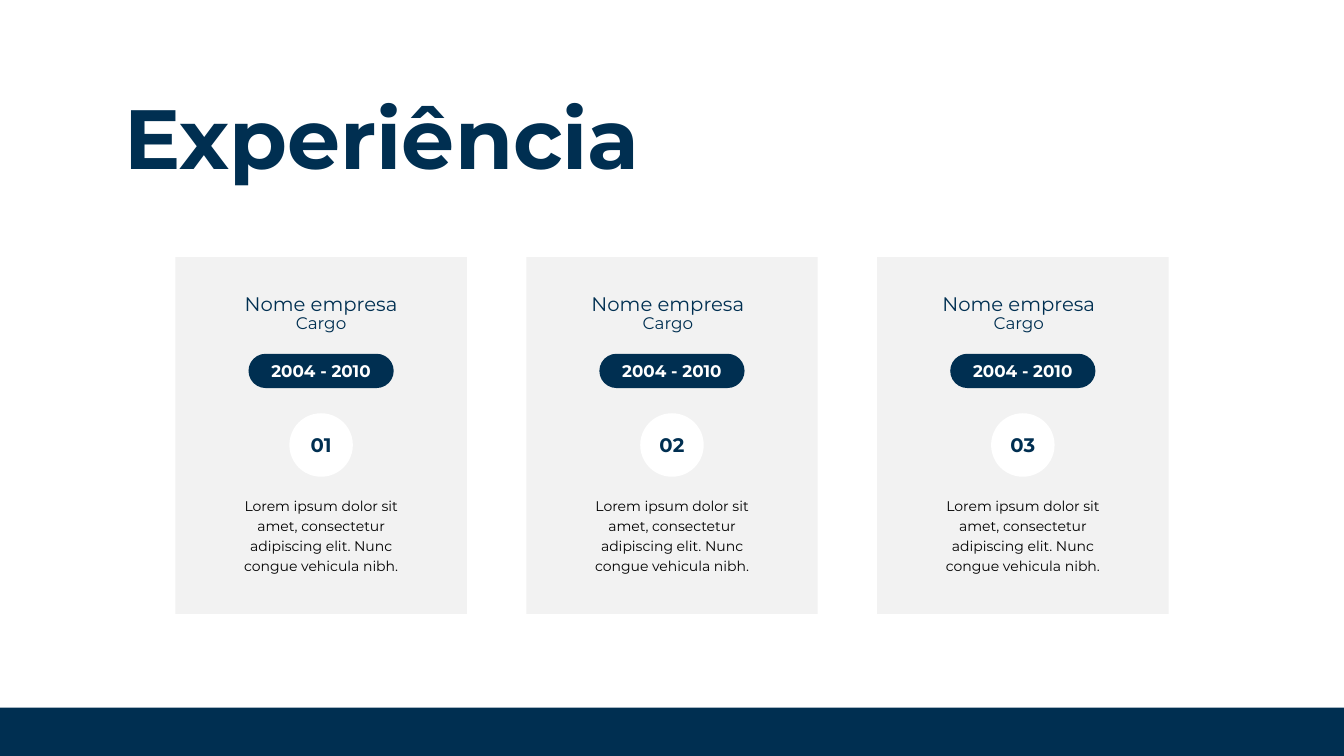
"""Build the "Experiência" slide with three job cards."""
import pptx
import pptx.util
import pptx.dml.color
import pptx.enum.shapes
import pptx.enum.text

Inches = pptx.util.Inches
Pt = pptx.util.Pt
SHAPES = pptx.enum.shapes.MSO_SHAPE
ANCHOR = pptx.enum.text.MSO_ANCHOR
ALIGN = pptx.enum.text.PP_ALIGN

TITLE = "Experiência"
SUMMARY = "Lorem ipsum dolor sit amet, consectetur adipiscing elit. Nunc congue vehicula nibh."
JOBS = [
    {"number": "01", "company": "Nome empresa", "role": "Cargo",
     "years": "2004 - 2010", "summary": SUMMARY, "heading_offset": 0.33},
    {"number": "02", "company": "Nome empresa", "role": "Cargo",
     "years": "2004 - 2010", "summary": SUMMARY, "heading_offset": 0.29},
    {"number": "03", "company": "Nome empresa", "role": "Cargo",
     "years": "2004 - 2010", "summary": SUMMARY, "heading_offset": 0.29},
]
NAVY, GREY, WHITE, BLACK = "002F51", "F2F2F2", "FFFFFF", "000000"
FONT = "Montserrat"
CARD_LEFT, CARD_TOP, CARD_WIDTH, CARD_HEIGHT = 1.74, 2.55, 2.89, 3.54
CARD_PITCH = 3.48


def rgb(value):
    return pptx.dml.color.RGBColor.from_string(value)


def write(frame, text, size, color, bold=False, align=ALIGN.CENTER, spacing=None):
    frame.text = text
    paragraph = frame.paragraphs[0]
    paragraph.alignment = align
    if spacing:
        paragraph.line_spacing = spacing
    paragraph.font.name = FONT
    paragraph.font.size = Pt(size)
    paragraph.font.bold = bold
    paragraph.font.color.rgb = rgb(color)


def add_block(slide, kind, box, fill):
    block = slide.shapes.add_shape(kind, *map(Inches, box))
    block.shadow.inherit = False
    block.fill.solid()
    block.fill.fore_color.rgb = rgb(fill)
    block.line.fill.background()
    block.text_frame.vertical_anchor = ANCHOR.MIDDLE
    return block


def add_label(slide, box, text, size, color, spacing=None):
    frame = slide.shapes.add_textbox(*map(Inches, box)).text_frame
    frame.word_wrap = True
    frame.margin_left = frame.margin_right = Inches(0.2)
    write(frame, text, size, color, spacing=spacing)


def add_card(slide, left, job):
    center = left + CARD_WIDTH / 2
    add_block(slide, SHAPES.RECTANGLE, (left, CARD_TOP, CARD_WIDTH, CARD_HEIGHT), GREY)

    badge = add_block(slide, SHAPES.OVAL, (center - 0.315, 4.1, 0.63, 0.63), WHITE)
    badge.text_frame.word_wrap = False
    write(badge.text_frame, job["number"], 14, NAVY, bold=True)

    period = add_block(slide, SHAPES.ROUNDED_RECTANGLE, (center - 0.72, 3.51, 1.44, 0.34), NAVY)
    period.adjustments[0] = 0.5
    write(period.text_frame, job["years"], 12, WHITE, bold=True)

    heading_left = left + job["heading_offset"]
    add_label(slide, (center - 1.075, 4.85, 2.15, 0.94), job["summary"], 10, BLACK, 1.2)
    add_label(slide, (heading_left, 2.85, 2.23, 0.34), job["company"], 14, NAVY)
    add_label(slide, (heading_left, 3.05, 2.23, 0.34), job["role"], 12, NAVY)


def main():
    deck = pptx.Presentation()
    deck.slide_width, deck.slide_height = Inches(13.33), Inches(7.5)
    slide = deck.slides.add_slide(deck.slide_layouts[5])

    title = slide.shapes.title
    title.left, title.top, title.width, title.height = map(Inches, (1.13, 0.83, 5.55, 1.08))
    title.text_frame.vertical_anchor = ANCHOR.TOP
    title.text_frame.auto_size = pptx.enum.text.MSO_AUTO_SIZE.NONE
    write(title.text_frame, TITLE, 60, NAVY, bold=True, align=ALIGN.LEFT, spacing=Pt(70))

    add_block(slide, SHAPES.RECTANGLE, (0, 7.02, 13.33, 0.48), NAVY)
    for index, job in enumerate(JOBS):
        add_card(slide, CARD_LEFT + index * CARD_PITCH, job)

    deck.save("out.pptx")


if __name__ == "__main__":
    main()
